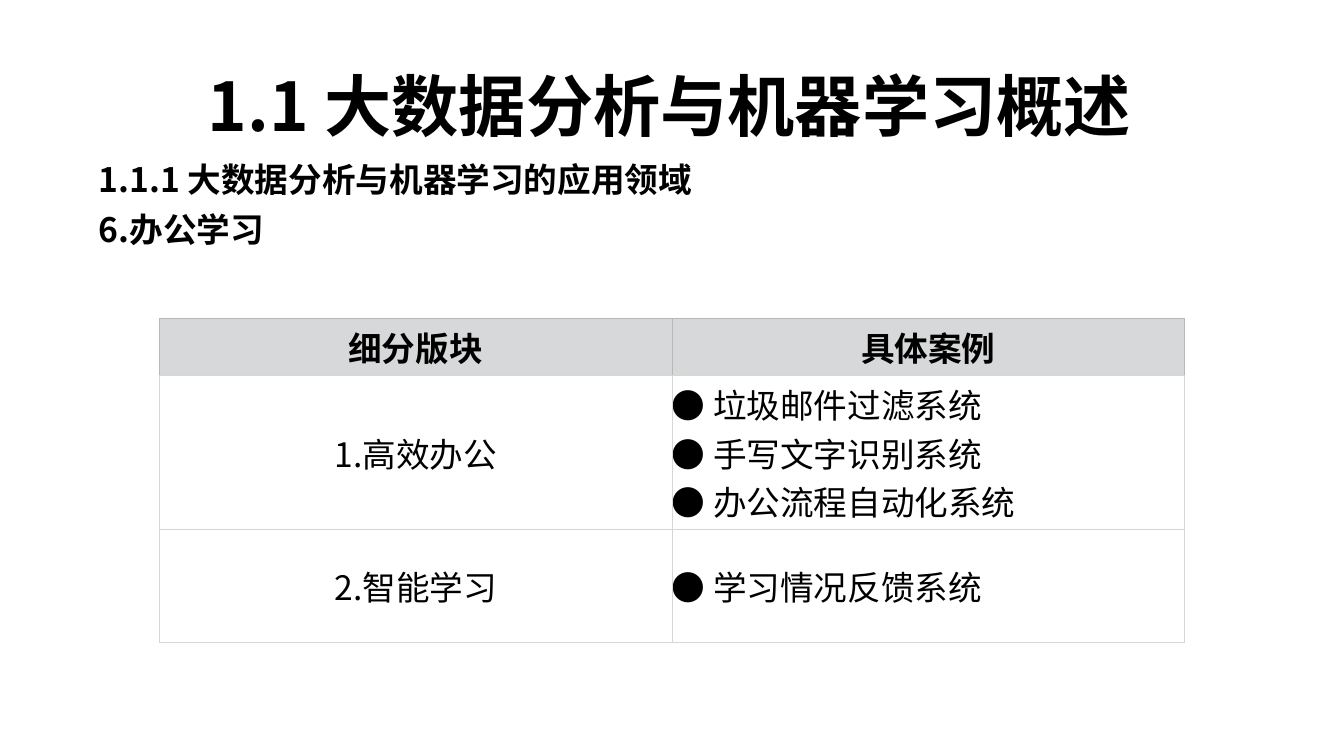
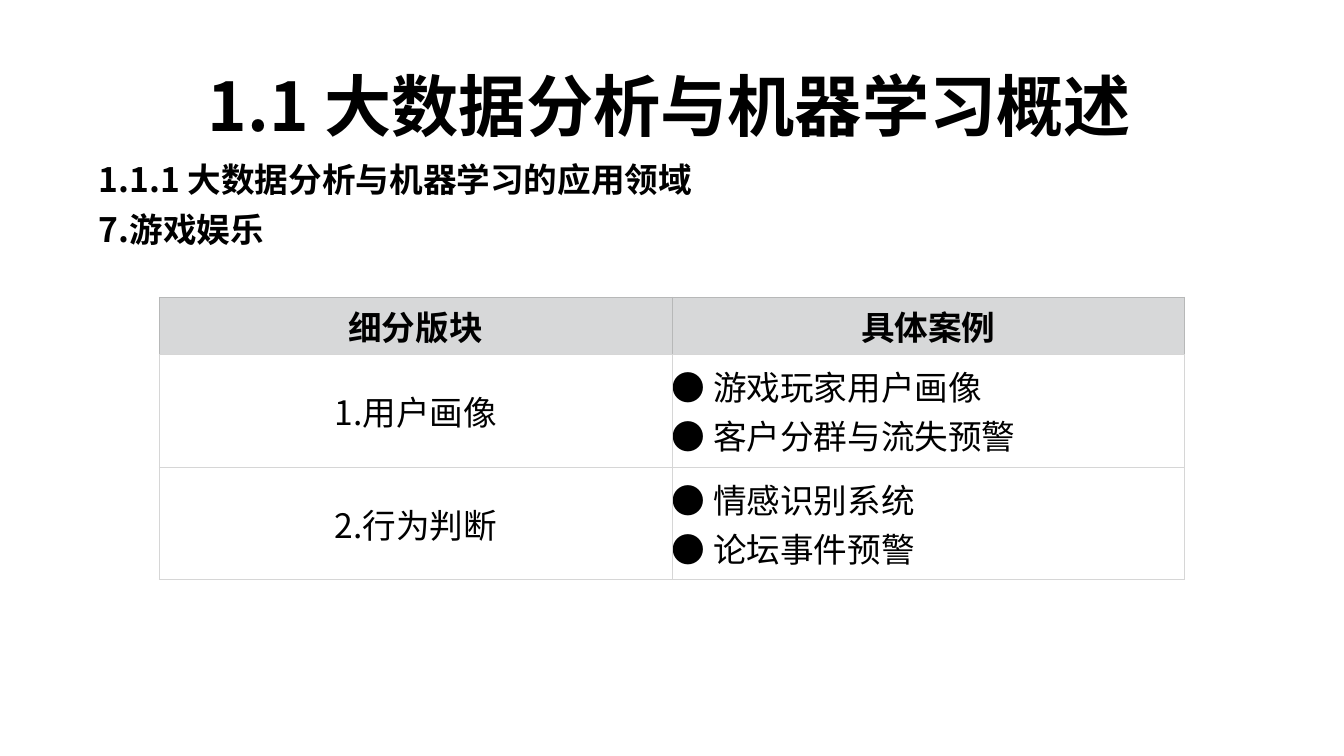
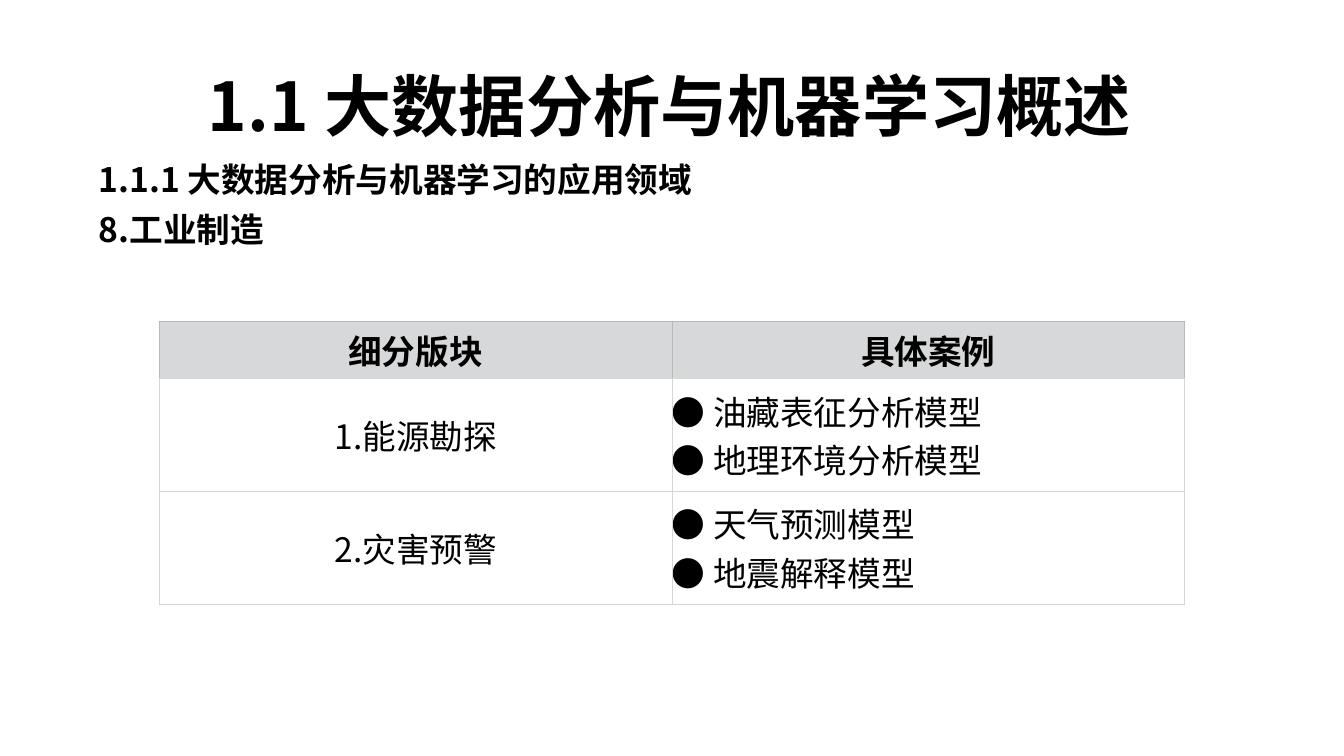
from lxml import etree
from pptx import Presentation
from pptx import util as u
from pptx.dml import color
from pptx.enum import text
from pptx.oxml import ns

FACE = "Noto Sans CJK SC"
INK, PAPER, BAND = "000000", "FFFFFF", "D7D8D9"
EDGE, RULE = "B7B8B8", "D6D6D6"
HEAD = "1.1 大数据分析与机器学习概述"
TOPIC = "1.1.1 大数据分析与机器学习的应用领域"
COLS = ("细分版块", "具体案例")
MID = text.MSO_ANCHOR.MIDDLE
LEFT, MAIN = text.PP_ALIGN.LEFT, text.PP_ALIGN.CENTER

PAGES = [
    ("6.办公学习", 3.16, [
        ("1.高效办公", ["垃圾邮件过滤系统", "手写文字识别系统", "办公流程自动化系统"]),
        ("2.智能学习", ["学习情况反馈系统"])]),
    ("7.游戏娱乐", 2.95, [
        ("1.用户画像", ["游戏玩家用户画像", "客户分群与流失预警"]),
        ("2.行为判断", ["情感识别系统", "论坛事件预警"])]),
    ("8.工业制造", 3.19, [
        ("1.能源勘探", ["油藏表征分析模型", "地理环境分析模型"]),
        ("2.灾害预警", ["天气预测模型", "地震解释模型"])]),
]


def rgb(code):
    return color.RGBColor.from_string(code)


def assign(item, **vals):
    for key, val in vals.items():
        setattr(item, key, val)


def write(frame, lines, size, bold, **form):
    frame.text = "\n".join(lines)
    for para in frame.paragraphs:
        assign(para, **form)
        for run in para.runs:
            assign(run.font, name=FACE, size=u.Pt(size), bold=bold)
            run.font.color.rgb = rgb(INK)
            east = etree.SubElement(run.font._element, ns.qn("a:ea"))
            east.set("typeface", FACE)


def place(shape, box):
    assign(shape, **dict(zip(("left", "top", "width", "height"), map(u.Inches, box))))


def title(slide, box):
    shape = slide.shapes.title
    place(shape, box)
    assign(shape.text_frame, auto_size=text.MSO_AUTO_SIZE.NONE, vertical_anchor=MID)
    write(shape.text_frame, [HEAD], 48, True, alignment=MAIN, line_spacing=0.9)


def body(slide, box, lines):
    shape = slide.placeholders[1]
    place(shape, box)
    assign(shape.text_frame, auto_size=text.MSO_AUTO_SIZE.NONE,
           vertical_anchor=text.MSO_ANCHOR.TOP)
    write(shape.text_frame, lines, 24, True, alignment=LEFT,
          line_spacing=0.9, space_before=u.Pt(10))
    for para in shape.text_frame.paragraphs:
        props = para._p.get_or_add_pPr()
        props.set("marL", "0")
        props.set("indent", "0")
        etree.SubElement(props, ns.qn("a:buNone"))


def border(cell, tints):
    props = cell._tc.get_or_add_tcPr()
    for side, tint in zip("LRTB", tints):
        line = etree.SubElement(props, ns.qn("a:ln" + side), w=str(u.Pt(0.75)))
        fill = etree.SubElement(line, ns.qn("a:solidFill"))
        etree.SubElement(fill, ns.qn("a:srgbClr"), val=tint)


def fill_cell(cell, lines, align, head):
    assign(cell, vertical_anchor=MID, margin_left=0, margin_right=0,
           margin_top=u.Inches(0.04), margin_bottom=u.Inches(0.04))
    write(cell.text_frame, lines, 24, head, alignment=align)
    border(cell, [EDGE if head else RULE] * 3 + [RULE])
    cell.fill.solid()
    cell.fill.fore_color.rgb = rgb(BAND if head else PAPER)


def grid(slide, box, cases):
    rows = [([COLS[0]], [COLS[1]])]
    rows += [([name], ["● " + item for item in items]) for name, items in cases]
    table = slide.shapes.add_table(len(rows), 2, *map(u.Inches, box)).table
    assign(table, first_row=False, horz_banding=False)
    for r, row in enumerate(rows):
        table.rows[r].height = u.Inches(1.12 if r else 0.43)
        for c, lines in enumerate(row):
            align = LEFT if r and c else MAIN
            fill_cell(table.cell(r, c), lines, align, r == 0)


def page(deck, part, top, cases):
    slide = deck.slides.add_slide(deck.slide_layouts[1])
    title(slide, (1.88, 0.53, 9.52, 1.12))
    body(slide, (0.88, 1.57, 11.5, 1.06), [TOPIC, part])
    grid(slide, (1.58, top, 10.17, 2.67), cases)


def main():
    deck = Presentation()
    assign(deck, slide_width=u.Inches(13.33), slide_height=u.Inches(7.5))
    for part, top, cases in PAGES:
        page(deck, part, top, cases)
    deck.save("out.pptx")


if __name__ == "__main__":
    main()
